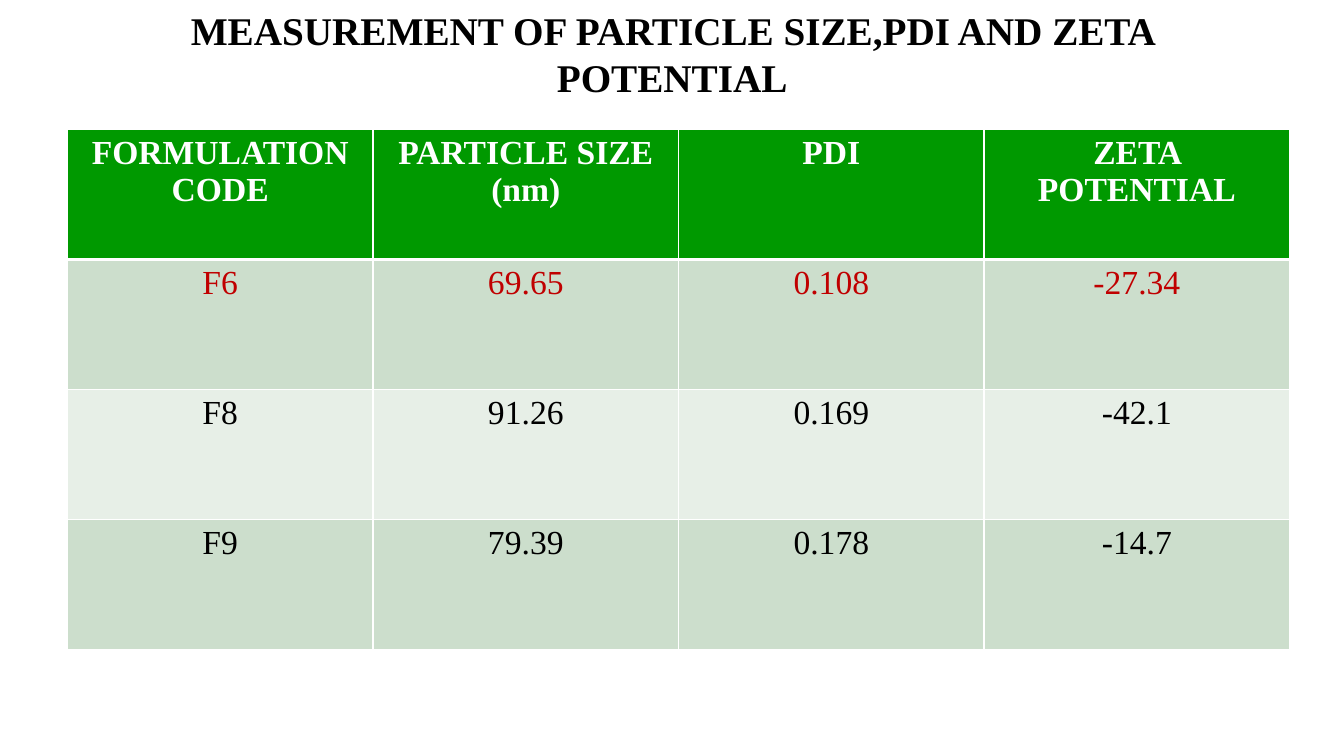
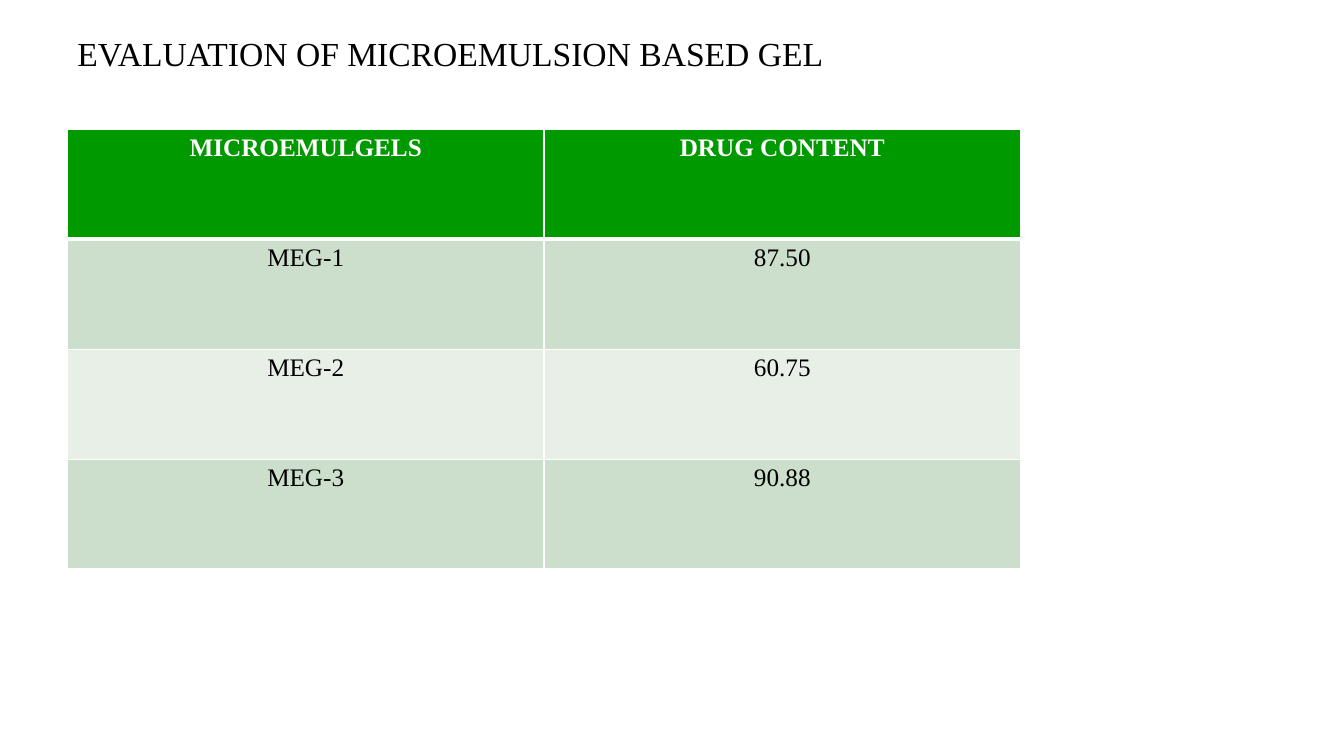
from lxml import etree
from pptx import Presentation
from pptx import util as u
from pptx.dml.color import RGBColor
from pptx.enum import text as t
from pptx.oxml.ns import qn

FACE = "Times New Roman"
GREEN, SAGE, MIST = "009900", "CCDECC", "E7EFE7"
WHITE, BLACK, RED = "FFFFFF", "000000", "C00000"
LEFT = u.Cm(1.7)
MID, SIDE = t.PP_ALIGN.CENTER, t.PP_ALIGN.LEFT

pages = [
    dict(
        title="MEASUREMENT OF PARTICLE SIZE,PDI AND ZETA POTENTIAL",
        size=28, bold=True, align=MID,
        wide=7.7, high=3.28, text=24, mark=1,
        rows=[
            ["FORMULATION CODE", "PARTICLE SIZE\n(nm)", "PDI", "ZETA POTENTIAL"],
            ["F6", "69.65", "0.108", "-27.34"],
            ["F8", "91.26", "0.169", "-42.1"],
            ["F9", "79.39", "0.178", "-14.7"],
        ],
    ),
    dict(
        title="EVALUATION OF MICROEMULSION BASED GEL",
        size=24, bold=False, align=SIDE,
        wide=12.01, high=2.77, text=18, mark=None,
        rows=[
            ["MICROEMULGELS", "DRUG CONTENT"],
            ["MEG-1", "87.50"],
            ["MEG-2", "60.75"],
            ["MEG-3", "90.88"],
        ],
    ),
]


def style(frame, size, bold, tint, align):
    for para in frame.paragraphs:
        para.alignment = align
        font = para.font
        font.name, font.size, font.bold = FACE, u.Pt(size), bold
        font.color.rgb = RGBColor.from_string(tint)


def edge(cell, side, width):
    line = etree.SubElement(cell._tc.get_or_add_tcPr(), qn("a:ln" + side), w=str(u.Pt(width)))
    fill = etree.SubElement(line, qn("a:solidFill"))
    etree.SubElement(fill, qn("a:srgbClr"), val=WHITE)


deck = Presentation()
deck.slide_width, deck.slide_height = u.Cm(33.87), u.Cm(19.05)

for page in pages:
    slide = deck.slides.add_slide(deck.slide_layouts[6])

    frame = slide.shapes.add_textbox(LEFT, u.Cm(0.53), u.Cm(30.48), u.Cm(1.63)).text_frame
    frame.word_wrap = True
    frame.auto_size = t.MSO_AUTO_SIZE.NONE
    frame.vertical_anchor = t.MSO_ANCHOR.MIDDLE
    frame.text = page["title"]
    style(frame, page["size"], page["bold"], BLACK, page["align"])

    rows = page["rows"]
    down, over = len(rows), len(rows[0])
    wide, high = u.Cm(page["wide"]), u.Cm(page["high"])
    grid = slide.shapes.add_table(down, over, LEFT, u.Cm(3.26), wide * over, high * down).table

    for r, row in enumerate(rows):
        head = r == 0
        shade = GREEN if head else SAGE if r % 2 else MIST
        tint = WHITE if head else RED if r == page["mark"] else BLACK
        for c, words in enumerate(row):
            cell = grid.cell(r, c)
            cell.text = words
            style(cell.text_frame, page["text"], head, tint, MID)
            for side in "LRTB":
                thick = (r, side) in [(0, "B"), (1, "T")]
                edge(cell, side, 3 if thick else 1)
            cell.fill.solid()
            cell.fill.fore_color.rgb = RGBColor.from_string(shade)

deck.save("out.pptx")
